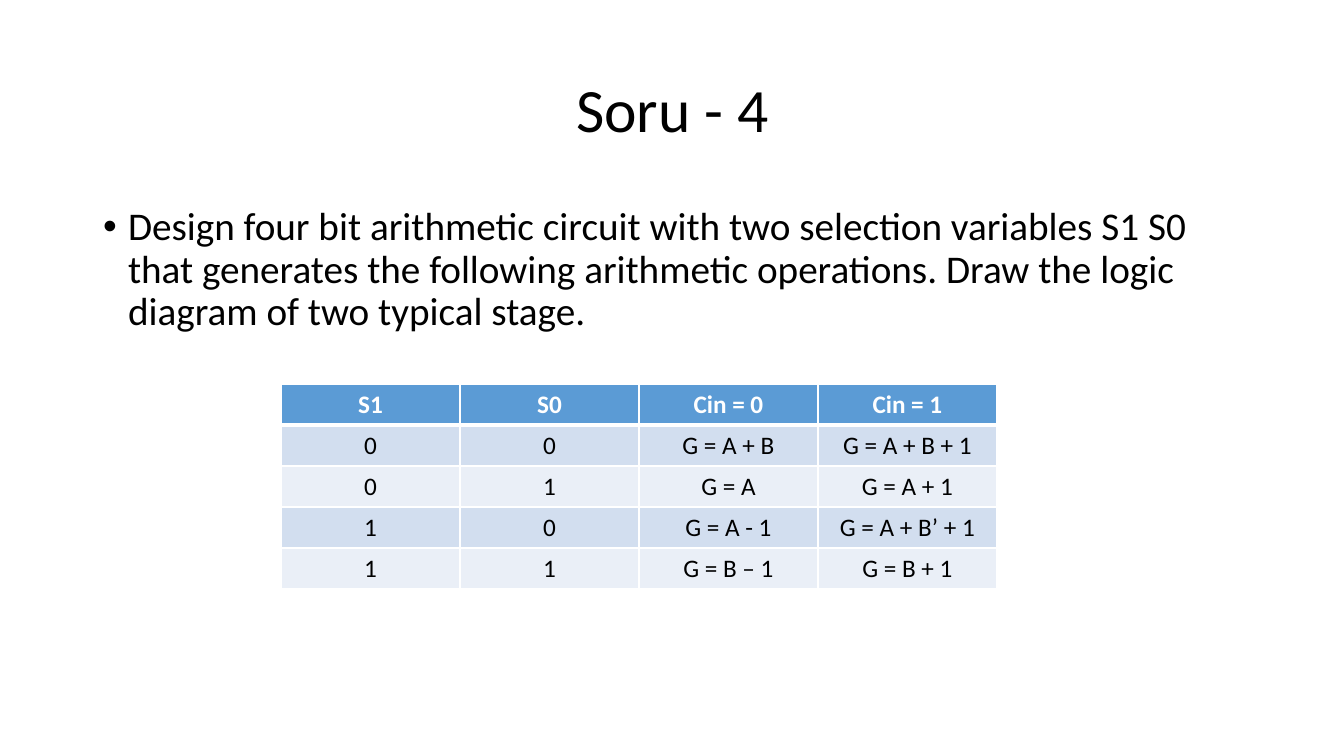
import pptx
import pptx.util
import pptx.dml.color
import pptx.enum.text
import pptx.oxml
import pptx.oxml.ns

TITLE = "Soru - 4"
TASK = ("Design four bit arithmetic circuit with two selection variables S1 S0 "
        "that generates the following arithmetic operations. "
        "Draw the logic diagram of two typical stage.")
ROWS = [
    ("S1", "S0", "Cin = 0", "Cin = 1"),
    ("0", "0", "G = A + B", "G = A + B + 1"),
    ("0", "1", "G = A", "G = A + 1"),
    ("1", "0", "G = A - 1", "G = A + B’ + 1"),
    ("1", "1", "G = B – 1", "G = B + 1"),
]
FONT, BLACK, WHITE = "Calibri", "000000", "FFFFFF"
HEAD, BANDS = "5B9BD5", ("D2DEEF", "EAEFF7")

# Lengths in px
SCALE = 914400 / 100.8
WIDE, HIGH = 1344, 756
LEFT, SPAN = 93, 1159
GRID_X, GRID_Y, COL, ROW = 281, 384, 179, 41
INDENT = 25

ALIGN = pptx.enum.text.PP_ALIGN
ANCHOR = pptx.enum.text.MSO_ANCHOR


def px(n):
    return pptx.util.Emu(round(n * SCALE))


def color(code):
    return pptx.dml.color.RGBColor.from_string(code)


def write(frame, text, size=18, ink=BLACK, bold=False, align=ALIGN.CENTER,
          space=1.0, anchor=ANCHOR.TOP):
    frame.word_wrap = True
    frame.vertical_anchor = anchor
    par = frame.paragraphs[0]
    par.alignment = align
    par.line_spacing = space
    par.space_before = pptx.util.Pt(0)
    run = par.add_run()
    run.text = text
    run.font.name = FONT
    run.font.size = pptx.util.Pt(size)
    run.font.bold = bold
    run.font.color.rgb = color(ink)
    return par


def place(shape, x, y, w, h):
    shape.left, shape.top, shape.width, shape.height = map(px, (x, y, w, h))
    shape.text_frame.auto_size = pptx.enum.text.MSO_AUTO_SIZE.NONE


def bullet(par):
    props = par._p.get_or_add_pPr()
    props.set("marL", str(px(INDENT)))
    props.set("indent", str(-px(INDENT)))
    for tag, key, val in (("buFont", "typeface", "Arial"), ("buChar", "char", "•")):
        item = pptx.oxml.parse_xml(
            f'<a:{tag} {pptx.oxml.ns.nsdecls("a")} {key}="{val}"/>')
        props.append(item)


def border(cell, top, bottom):
    props = cell._tc.get_or_add_tcPr()
    sides = (("L", 1), ("R", 1), ("T", top), ("B", bottom))
    for i, (side, width) in enumerate(sides):
        props.insert(i, pptx.oxml.parse_xml(
            f'<a:ln{side} {pptx.oxml.ns.nsdecls("a")} w="{pptx.util.Pt(width)}">'
            f'<a:solidFill><a:srgbClr val="{WHITE}"/></a:solidFill></a:ln{side}>'))


def main():
    deck = pptx.Presentation()
    deck.slide_width, deck.slide_height = px(WIDE), px(HIGH)
    slide = deck.slides.add_slide(deck.slide_layouts[1])

    # Title and task
    title, body = slide.shapes.title, slide.placeholders[1]
    place(title, LEFT, 40, SPAN, 146)
    write(title.text_frame, TITLE, size=44, space=0.9, anchor=ANCHOR.MIDDLE)
    place(body, LEFT, 202, SPAN, 480)
    bullet(write(body.text_frame, TASK, size=28, align=ALIGN.LEFT, space=0.9))

    # Table of operations
    count = len(ROWS[0])
    table = slide.shapes.add_table(
        len(ROWS), count, px(GRID_X), px(GRID_Y),
        px(COL * count), px(ROW * len(ROWS))).table
    for col in table.columns:
        col.width = px(COL)
    for r, row in enumerate(ROWS):
        table.rows[r].height = px(ROW)
        top = r == 0
        for c, text in enumerate(row):
            cell = table.cell(r, c)
            cell.fill.solid()
            cell.fill.fore_color.rgb = color(HEAD if top else BANDS[(r - 1) % 2])
            write(cell.text_frame, text, ink=WHITE if top else BLACK, bold=top)
            border(cell, 3 if r == 1 else 1, 3 if top else 1)

    deck.save("out.pptx")


if __name__ == "__main__":
    main()
